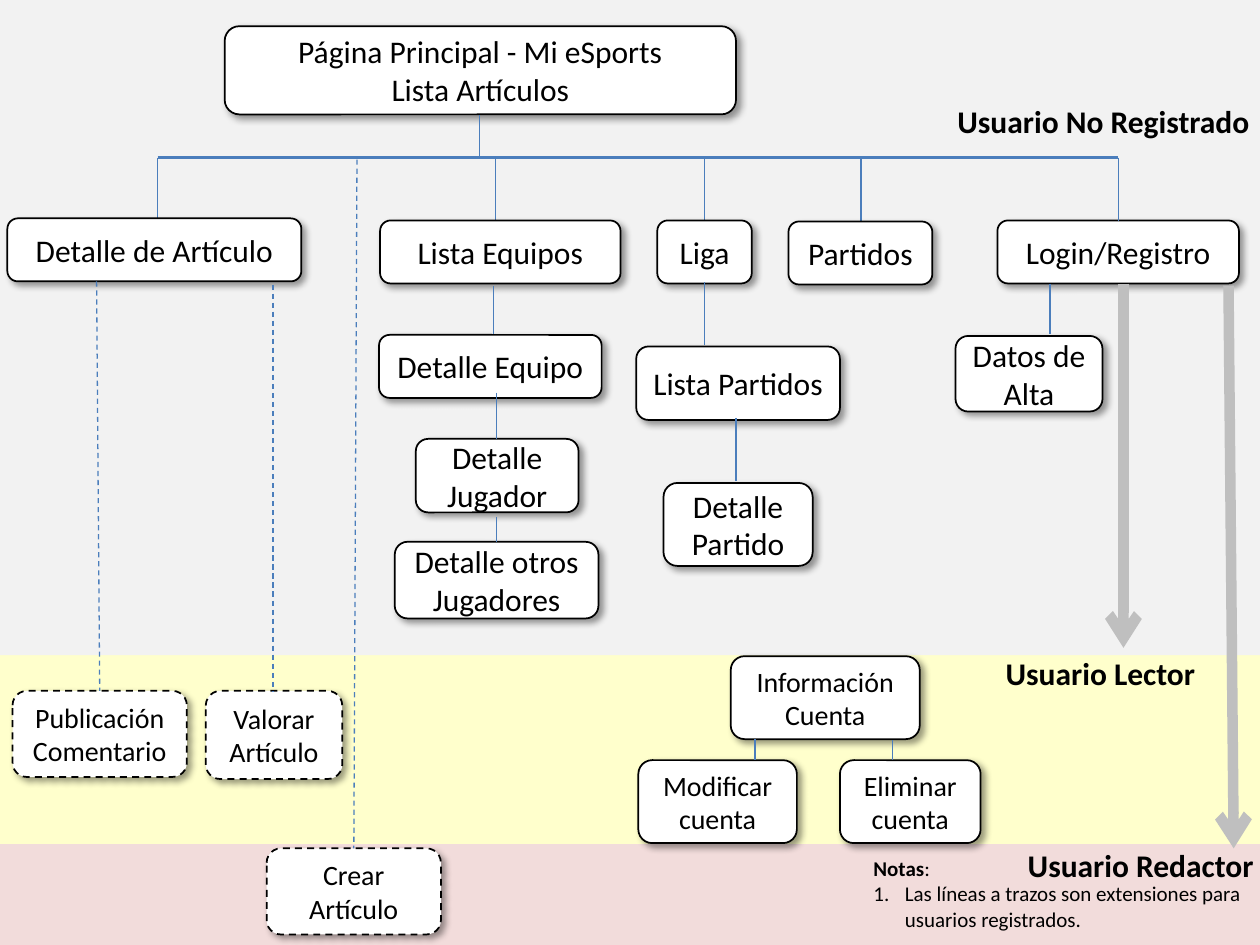
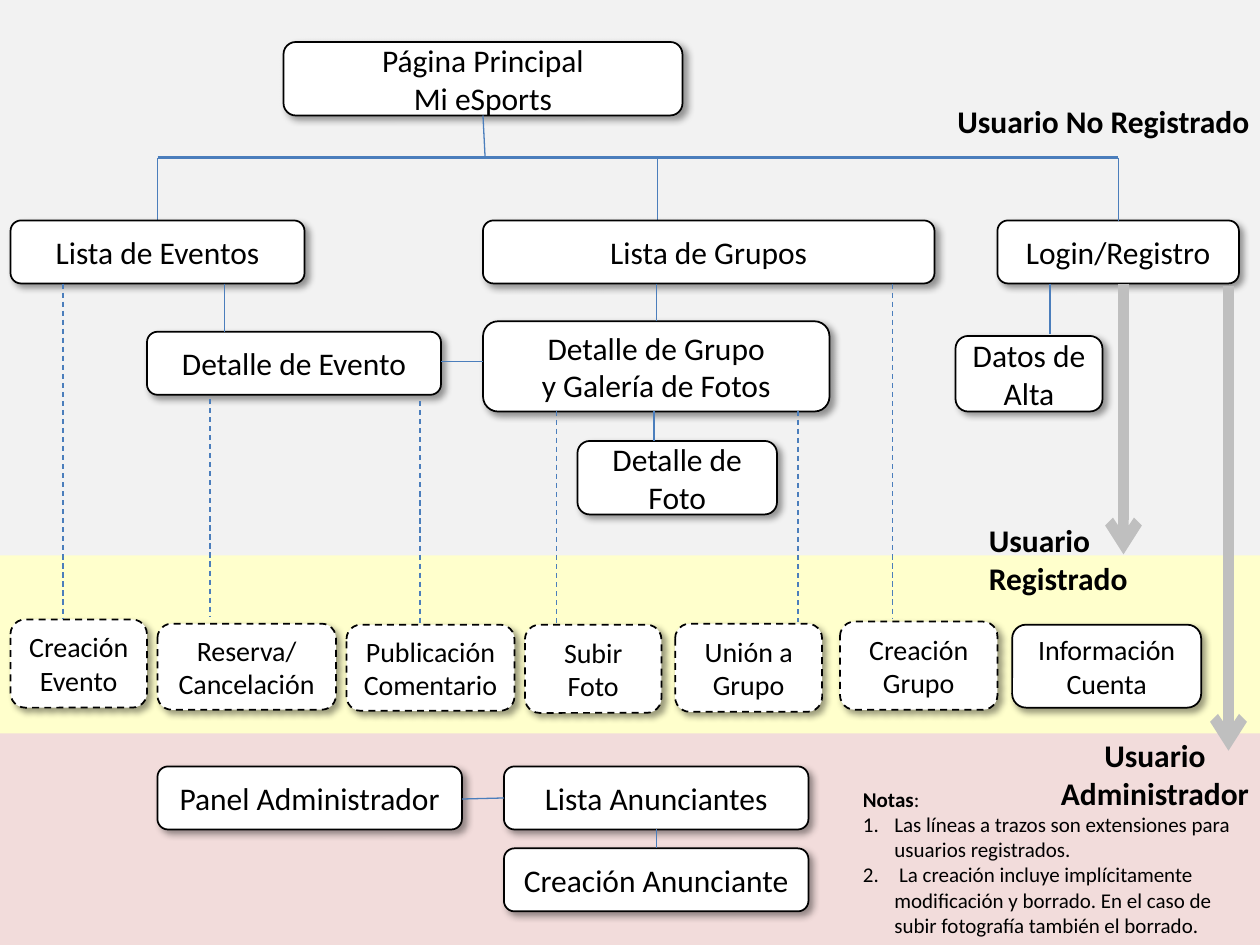
"""Build two site maps whose pages are grouped by the kind of user who may open them."""
import pptx
import pptx.util
import pptx.dml.color
import pptx.enum.dml
import pptx.enum.shapes
import pptx.enum.text
import pptx.oxml.ns
from lxml import etree

RGB = pptx.dml.color.RGBColor
BLACK = RGB(0x00, 0x00, 0x00)
WHITE = RGB(0xFF, 0xFF, 0xFF)
GREY_BAND = RGB(0xF2, 0xF2, 0xF2)
YELLOW_BAND = RGB(0xFF, 0xFF, 0xCC)
PINK_BAND = RGB(0xF2, 0xDC, 0xDB)
BLUE = RGB(0x4B, 0x7E, 0xBC)
ARROW_GREY = RGB(0xBF, 0xBF, 0xBF)

FONT = "Calibri"
COLUMNS, ROWS = 120, 90
WIDTH, HEIGHT = pptx.util.Inches(10), pptx.util.Inches(7.5)
TRUNK_ROW, LEVEL_ROW = 15, 21
TRUNK_LEFT, TRUNK_RIGHT = 15, 106.5
LARGE, MEDIUM, SMALL = 18, 16, 12

CENTER = pptx.enum.text.PP_ALIGN.CENTER
LEFT = pptx.enum.text.PP_ALIGN.LEFT
Pt = pptx.util.Pt


def col(columns):
    """Turn grid columns into a length."""
    return int(WIDTH * columns / COLUMNS)


def row(rows):
    """Turn grid rows into a length."""
    return int(HEIGHT * rows / ROWS)


def cell_range(left, top, width, height):
    """Turn a range of the grid into a position and size."""
    return col(left), row(top), col(width), row(height)


def child(parent, tag, **attributes):
    """Append a DrawingML element to its parent."""
    return etree.SubElement(parent, pptx.oxml.ns.qn("a:" + tag), attributes)


def style(paragraph, size, bold=None, align=LEFT):
    """Set the font and alignment of a whole paragraph."""
    paragraph.alignment = align
    font = paragraph.font
    font.name, font.size, font.bold = FONT, Pt(size), bold
    font.color.rgb = BLACK


def write(frame, text, size, bold=None, align=LEFT):
    """Write each line of the text as one paragraph."""
    frame.word_wrap = True
    frame.text = text
    for paragraph in frame.paragraphs:
        style(paragraph, size, bold, align)


def bands(slide, *levels):
    """Draw the full-width bands, each as top, height and colour."""
    for top, height, colour in levels:
        band = slide.shapes.add_shape(
            pptx.enum.shapes.MSO_SHAPE.RECTANGLE, *cell_range(0, top, COLUMNS, height))
        band.shadow.inherit = False
        band.fill.solid()
        band.fill.fore_color.rgb = colour
        band.line.fill.background()


def cast_shadow(page):
    """Give a page box its soft shadow."""
    page.shadow.inherit = False
    effects = page._element.spPr.find(pptx.oxml.ns.qn("a:effectLst"))
    outer = child(effects, "outerShdw", blurRad="50800", dist="38100",
                  dir="2700000", algn="tl", rotWithShape="0")
    black = child(outer, "srgbClr", val=str(BLACK))
    child(black, "alpha", val="40000")


def pages(slide, boxes, size=LARGE, dashed=False):
    """Draw rounded page boxes, each as text and grid range."""
    for text, *place in boxes:
        page = slide.shapes.add_shape(
            pptx.enum.shapes.MSO_SHAPE.ROUNDED_RECTANGLE, *cell_range(*place))
        cast_shadow(page)
        page.fill.solid()
        page.fill.fore_color.rgb = WHITE
        page.line.color.rgb = BLACK
        page.line.width = Pt(1)
        if dashed:
            page.line.dash_style = pptx.enum.dml.MSO_LINE.DASH
        page.text_frame.vertical_anchor = pptx.enum.text.MSO_ANCHOR.MIDDLE
        write(page.text_frame, text, size, align=CENTER)


def link(slide, start, end, dashed=False, colour=BLUE, weight=0.75):
    """Draw a straight line between two grid points."""
    line = slide.shapes.add_connector(
        pptx.enum.shapes.MSO_CONNECTOR.STRAIGHT,
        col(start[0]), row(start[1]), col(end[0]), row(end[1]))
    line.line.color.rgb = colour
    line.line.width = Pt(weight)
    if dashed:
        line.line.dash_style = pptx.enum.dml.MSO_LINE.DASH
    child(line._element.spPr, "effectLst")
    return line


def drops(slide, verticals, dashed=False):
    """Draw vertical links, each as column, top and bottom."""
    for column, top, bottom in verticals:
        link(slide, (column, top), (column, bottom), dashed)


def access_arrow(slide, start, end):
    """Draw the thick arrow from the login to the band it opens."""
    arrow = link(slide, start, end, colour=ARROW_GREY, weight=6)
    child(arrow.line._get_or_add_ln(), "tailEnd", type="arrow")


def text_box(slide, place):
    """Add a text box that grows with its text and return its frame."""
    frame = slide.shapes.add_textbox(*cell_range(*place)).text_frame
    frame.word_wrap = True
    frame.auto_size = pptx.enum.text.MSO_AUTO_SIZE.SHAPE_TO_FIT_TEXT
    return frame


def user_label(slide, text, *place, align=LEFT):
    """Name the kind of user of a band."""
    write(text_box(slide, place), text, LARGE, True, align)


def notes_list(slide, place, notes):
    """Write the numbered notes under their heading."""
    frame = text_box(slide, place)
    heading = frame.paragraphs[0]
    style(heading, SMALL)
    title, colon = heading.add_run(), heading.add_run()
    title.text, colon.text = "Notas", ": "
    title.font.bold = True
    for note in notes:
        item = frame.add_paragraph()
        item.text = note
        style(item, SMALL)
        properties = item._p.get_or_add_pPr()
        properties.set("marL", "228600")
        properties.set("indent", "-228600")
        number = etree.Element(pptx.oxml.ns.qn("a:buAutoNum"), type="arabicPeriod")
        properties.insert(0, number)


def site_frame(slide, branches, reader_end, editor_end):
    """Draw the trunk, login branch and access arrows that both maps share."""
    pages(slide, [("Login/Registro", 95, LEVEL_ROW, 23, 6),
                  ("Datos de Alta", 91, 32, 14, 7.2)])
    link(slide, (TRUNK_LEFT, TRUNK_ROW), (TRUNK_RIGHT, TRUNK_ROW), weight=2.25)
    drops(slide, [(column, TRUNK_ROW, LEVEL_ROW)
                  for column in (TRUNK_LEFT, *branches, TRUNK_RIGHT)])
    drops(slide, [(100, 27, 31.8)])
    access_arrow(slide, (107, 27), reader_end)
    access_arrow(slide, (117, 27.2), editor_end)
    user_label(slide, "Usuario No Registrado", 90, 9.1, 32, 4.8)


def article_map(slide):
    """Draw the map of articles, teams and matches."""
    bands(slide, (62.4, 18, YELLOW_BAND), (80.4, 9.6, PINK_BAND), (0, 62.4, GREY_BAND))
    site_frame(slide, (47.2, 67.1, 82), (107, 61.7), (117.5, 80.8))
    pages(slide, [
        ("Página Principal - Mi eSports\nLista Artículos", 21.4, 2.5, 48.7, 8.4),
        ("Detalle de Artículo", 0.7, 20.8, 28, 6),
        ("Lista Equipos", 36.2, LEVEL_ROW, 22.9, 6),
        ("Liga", 62.6, LEVEL_ROW, 9, 6),
        ("Partidos", 75.1, 21.1, 13.7, 6),
        ("Detalle Equipo", 36.1, 31.9, 21.2, 6),
        ("Detalle Jugador", 39.6, 41.8, 15.5, 7),
        ("Detalle otros Jugadores", 37.6, 51.6, 19.4, 7.3),
        ("Lista Partidos", 60.6, 33, 19.4, 7),
        ("Detalle Partido", 63.2, 46, 14.2, 7.9),
    ])
    pages(slide, [
        ("Información\nCuenta", 69.6, 62.5, 18, 7.9),
        ("Modificar cuenta", 60.8, 72.4, 15.1, 7.9),
        ("Eliminar cuenta", 80, 72.4, 13.4, 7.9),
    ], MEDIUM)
    pages(slide, [
        ("Publicación Comentario", 1.2, 65.8, 16.6, 8.2),
        ("Valorar Artículo", 19.6, 65.8, 13, 8.4),
        ("Crear Artículo", 25.4, 80.8, 16.6, 8.2),
    ], MEDIUM, dashed=True)
    drops(slide, [
        (45.7, 11, TRUNK_ROW), (47, 27.2, 31.8), (47.3, 37.4, 41.8), (47.3, 49.2, 51.6),
        (67.1, 26.9, 32.9), (70.1, 39.8, 45.8), (71.9, 70.4, 72.4), (85, 70.5, 72.4),
    ])
    drops(slide, [(26, 27.1, 65.8)], dashed=True)
    link(slide, (9.2, 26.8), (9.5, 65.8), dashed=True)
    link(slide, (34, 15.2), (33.7, 80.8), dashed=True)
    user_label(slide, "Usuario Lector", 94.6, 61.7, 23, 4.8)
    user_label(slide, "Usuario Redactor", 96.7, 80, 27.2, 4.8)
    notes_list(slide, (82, 80.9, 38, 8.5), [
        "Las líneas a trazos son extensiones para usuarios registrados."])


def event_map(slide):
    """Draw the map of events, groups and advertisers."""
    bands(slide, (50.5, 21, YELLOW_BAND), (69.85, 20.15, PINK_BAND), (0, 52.9, GREY_BAND))
    site_frame(slide, (62.6,), (107, 52.8), (117, 71.5))
    pages(slide, [
        ("Página Principal\nMi eSports", 27, 4, 38, 7),
        ("Lista de Eventos", 1, LEVEL_ROW, 28, 6),
        ("Lista de Grupos", 46, LEVEL_ROW, 43, 6),
        ("Detalle de Evento", 14, 31.6, 28, 6),
        ("Detalle de Grupo\ny Galería de Fotos", 46, 30.6, 33, 8.6),
        ("Detalle de Foto", 55, 42, 19, 7),
        ("Panel Administrador", 15, 73, 29, 6),
        ("Lista Anunciantes", 48, 73, 29, 6),
        ("Creación Anunciante", 48, 80.8, 29, 6),
    ])
    pages(slide, [("Información\nCuenta", 96.4, 59.5, 18, 7.9)], MEDIUM)
    pages(slide, [
        ("Creación Evento", 1, 59, 13, 8.4),
        ("Reserva/\nCancelación", 15, 59.4, 17, 8.2),
        ("Publicación Comentario", 33, 59.5, 16, 8.2),
        ("Subir Foto", 50, 59.5, 13, 8.4),
        ("Unión a Grupo", 64.3, 59.4, 14, 8.4),
        ("Creación Grupo", 80, 59.2, 15, 8.4),
    ], MEDIUM, dashed=True)
    drops(slide, [(21.4, 27, 31.6), (62.5, 27, 30.6), (62.3, 39.1, 42), (62.5, 79, 80.8)])
    drops(slide, [(6, 27, 59), (20, 38, 58.7), (40, 38.2, 59.5),
                  (53, 39.1, 59.3), (76, 39.1, 59.2), (85, 27, 59)], dashed=True)
    link(slide, (46, 11), (46.2, TRUNK_ROW))
    link(slide, (42, 34.4), (46, 34.4))
    link(slide, (44, 76.1), (48, 76))
    user_label(slide, "Usuario Registrado", 93, 49, 23, 8.5)
    user_label(slide, "Usuario Administrador", 97, 69.5, 26, 8.5, align=CENTER)
    notes_list(slide, (81, 74.3, 38, 15.7), [
        "Las líneas a trazos son extensiones para usuarios registrados.",
        " La creación incluye implícitamente modificación y borrado. "
        "En el caso de subir fotografía también el borrado."])


def main():
    """Build both maps and save the presentation."""
    deck = pptx.Presentation()
    deck.slide_width, deck.slide_height = WIDTH, HEIGHT
    for draw_map in (article_map, event_map):
        draw_map(deck.slides.add_slide(deck.slide_layouts[6]))
    deck.save("out.pptx")


main()
